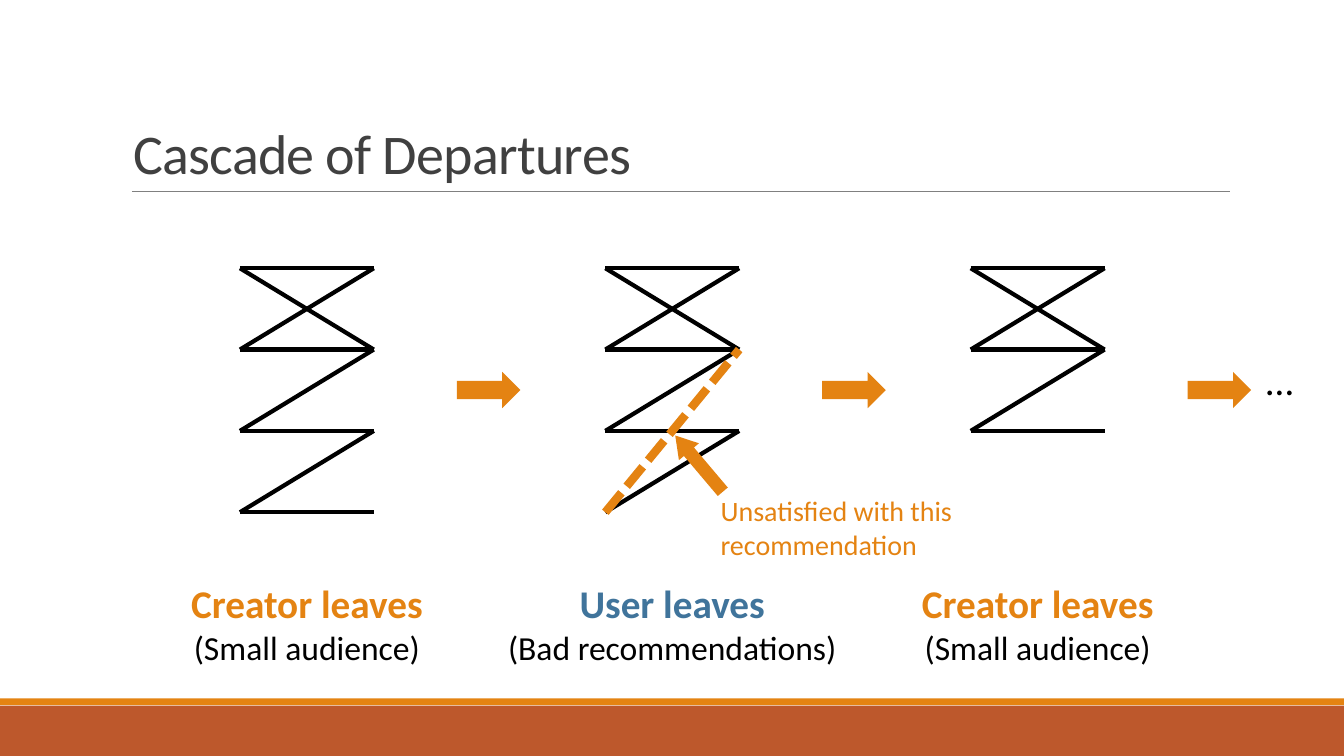
from dataclasses import dataclass

from lxml import etree
from pptx import Presentation
from pptx.dml.color import RGBColor
from pptx.enum.dml import MSO_LINE
from pptx.enum.shapes import MSO_CONNECTOR, MSO_SHAPE
from pptx.enum.text import MSO_ANCHOR, MSO_AUTO_SIZE, PP_ALIGN
from pptx.oxml.ns import qn
from pptx.util import Pt

RECTANGLE, RIGHT_ARROW = MSO_SHAPE.RECTANGLE, MSO_SHAPE.RIGHT_ARROW
STRAIGHT = MSO_CONNECTOR.STRAIGHT
SHORT_DASH = MSO_LINE.SQUARE_DOT
LEFT, CENTER = PP_ALIGN.LEFT, PP_ALIGN.CENTER

ORANGE = RGBColor(0xE4, 0x83, 0x12)
RUST = RGBColor(0xBD, 0x58, 0x2C)
BLUE = RGBColor(0x40, 0x74, 0x9B)
BLACK = RGBColor(0, 0, 0)
DARK_GRAY = RGBColor(0x40, 0x40, 0x40)
GRAY = RGBColor(0x80, 0x80, 0x80)
FONT = "Calibri"

# Each stage is a bipartite graph; all lengths are in points
STAGE_LEFT, STAGE_STEP = 171.4, 261
GRAPH_TOP, ROW_STEP, GRAPH_WIDTH = 191.6, 58.1, 95.6
ARROW_LEFT, ARROW_TOP = 326.3, 265.7
ARROW_WIDTH, ARROW_HEIGHT = 45.4, 25.9
CAPTION_TOP, CAPTION_HEIGHT = 410.4, 70.6


@dataclass(frozen=True)
class Edge:
    left_row: int
    right_row: int
    color: RGBColor = BLACK
    width: float = 3
    dash: MSO_LINE | None = None


@dataclass(frozen=True)
class Stage:
    headline: str
    reason: str
    color: RGBColor
    caption_width: float
    extra_edges: tuple[Edge, ...] = ()


SHARED_EDGES = (Edge(1, 1), Edge(1, 0), Edge(2, 1), Edge(2, 2), Edge(0, 0), Edge(0, 1))
STAGES = (
    Stage("Creator leaves", "(Small audience)", ORANGE, 185.8, (Edge(3, 2), Edge(3, 3))),
    Stage("User leaves", "(Bad recommendations)", BLUE, 252,
          (Edge(3, 2), Edge(3, 1, ORANGE, 6, SHORT_DASH))),
    Stage("Creator leaves", "(Small audience)", ORANGE, 185.8),
)


def write_text(paragraph, text: str, *, size: float, color: RGBColor,
               bold: bool = False, align: PP_ALIGN = LEFT):
    """Fill a paragraph with one formatted run and return the run."""
    paragraph.alignment = align
    run = paragraph.add_run()
    run.text = text
    font = run.font
    font.name, font.size, font.bold = FONT, Pt(size), bold
    font.color.rgb = color
    return run


def add_text_frame(slide, left: float, top: float, width: float, height: float):
    box = slide.shapes.add_textbox(Pt(left), Pt(top), Pt(width), Pt(height))
    box.text_frame.word_wrap = True
    return box.text_frame


def add_filled_shape(slide, kind: MSO_SHAPE, left: float, top: float,
                     width: float, height: float, color: RGBColor):
    shape = slide.shapes.add_shape(kind, Pt(left), Pt(top), Pt(width), Pt(height))
    shape.shadow.inherit = False
    shape.fill.solid()
    shape.fill.fore_color.rgb = color
    shape.line.fill.background()
    return shape


def add_line(shapes, start: tuple[float, float], end: tuple[float, float],
             color: RGBColor, width: float, dash: MSO_LINE | None = None) -> None:
    line = shapes.add_connector(STRAIGHT, Pt(start[0]), Pt(start[1]), Pt(end[0]), Pt(end[1]))
    line.line.color.rgb = color
    line.line.width = Pt(width)
    if dash is not None:
        line.line.dash_style = dash
    etree.SubElement(line._element.spPr, qn("a:effectLst"))


def add_title(slide, text: str) -> None:
    title = slide.shapes.title
    title.left, title.top, title.width, title.height = Pt(88), Pt(43.2), Pt(800.6), Pt(92.9)
    frame = title.text_frame
    frame.auto_size = MSO_AUTO_SIZE.NONE
    frame.vertical_anchor = MSO_ANCHOR.BOTTOM
    paragraph = frame.paragraphs[0]
    paragraph.line_spacing = 0.85
    run = write_text(paragraph, text, size=40, color=DARK_GRAY)
    run.font._element.set("spc", "-50")


def add_graph(slide, left: float, edges: tuple[Edge, ...]) -> None:
    group = slide.shapes.add_group_shape()
    for edge in edges:
        start = (left, GRAPH_TOP + edge.left_row * ROW_STEP)
        end = (left + GRAPH_WIDTH, GRAPH_TOP + edge.right_row * ROW_STEP)
        add_line(group.shapes, start, end, edge.color, edge.width, edge.dash)


def add_stage(slide, index: int, stage: Stage) -> None:
    offset = index * STAGE_STEP
    left = STAGE_LEFT + offset
    add_graph(slide, left, SHARED_EDGES + stage.extra_edges)
    add_filled_shape(slide, RIGHT_ARROW, ARROW_LEFT + offset, ARROW_TOP,
                     ARROW_WIDTH, ARROW_HEIGHT, ORANGE)
    caption_left = left + (GRAPH_WIDTH - stage.caption_width) / 2
    frame = add_text_frame(slide, caption_left, CAPTION_TOP, stage.caption_width, CAPTION_HEIGHT)
    write_text(frame.paragraphs[0], stage.headline, size=28, color=stage.color,
               bold=True, align=CENTER)
    write_text(frame.add_paragraph(), stage.reason, size=24, color=BLACK, align=CENTER)


def main() -> None:
    presentation = Presentation()
    presentation.slide_width, presentation.slide_height = Pt(960), Pt(540)
    slide = presentation.slides.add_slide(presentation.slide_layouts[5])

    # Footer bands, title and rule
    add_filled_shape(slide, RECTANGLE, 0, 504, 960, 36, RUST)
    add_filled_shape(slide, RECTANGLE, 0, 498.8, 960, 5, ORANGE)
    add_line(slide.shapes, (94.2, 136.8), (878.8, 136.8), GRAY, 0.5)
    add_title(slide, "Cascade of Departures")

    # Stages of the cascade
    for index, stage in enumerate(STAGES):
        add_stage(slide, index, stage)

    # Note on the dashed edge
    note = add_text_frame(slide, 507.6, 349.2, 185.8, 55.4)
    write_text(note.paragraphs[0], "Unsatisfied with this recommendation", size=20, color=ORANGE)
    pointer = add_filled_shape(slide, RIGHT_ARROW, 473, 321.8, 52.6, 18.7, ORANGE)
    pointer.rotation = 229.8
    pointer.adjustments[1] = 0.81

    # Continuation
    more = add_text_frame(slide, 888.5, 251.3, 51.1, 41)
    write_text(more.paragraphs[0], "…", size=28, color=BLACK, align=CENTER)

    presentation.save("out.pptx")


if __name__ == "__main__":
    main()
